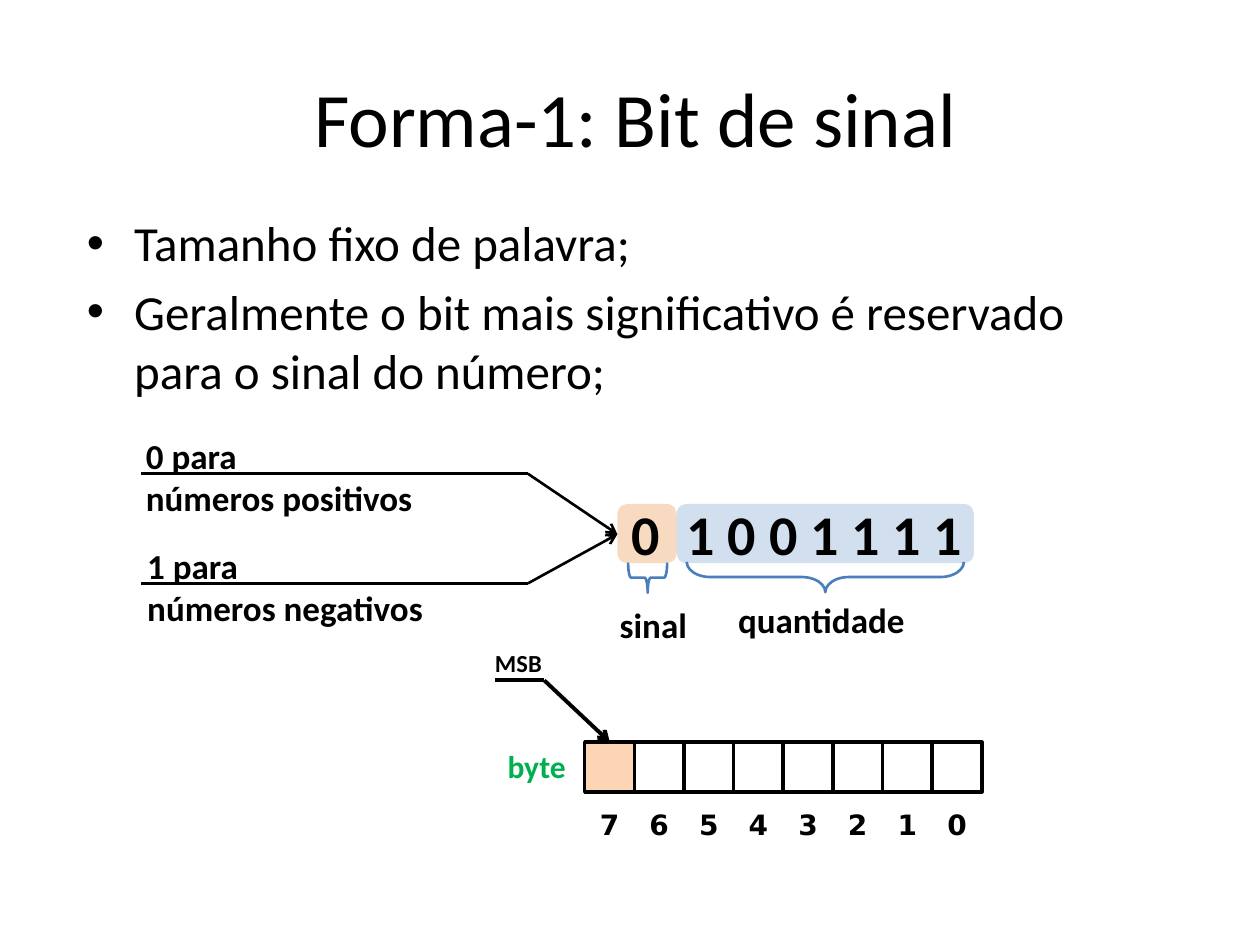
"""Build the slide on sign-bit representation of signed numbers."""
from lxml import etree
from pptx import Presentation
from pptx.dml.color import RGBColor
from pptx.enum.shapes import MSO_CONNECTOR, MSO_SHAPE
from pptx.enum.text import MSO_ANCHOR, PP_ALIGN
from pptx.oxml.ns import qn
from pptx.util import Inches, Pt

RECT, ROUNDED, BRACE = MSO_SHAPE.RECTANGLE, MSO_SHAPE.ROUNDED_RECTANGLE, MSO_SHAPE.RIGHT_BRACE
STRAIGHT = MSO_CONNECTOR.STRAIGHT
LEFT, CENTER, MIDDLE = PP_ALIGN.LEFT, PP_ALIGN.CENTER, MSO_ANCHOR.MIDDLE
COLORS = {"ink": "000000", "byte": "00B050", "msb": "FCD5B5",
          "sign": "E46C0A", "amount": "4F81BD", "brace": "4B7EBC"}


def color(name):
    return RGBColor.from_string(COLORS[name])


def write(tf, text, size, ink="ink", font="Calibri", bold=True, align=LEFT):
    tf.text = text
    for p in tf.paragraphs:
        p.alignment = align
        for r in p.runs:
            r.font.name, r.font.size, r.font.bold = font, Pt(size), bold
            r.font.color.rgb = color(ink)


prs = Presentation()
prs.slide_width, prs.slide_height = Inches(10), Inches(7.5)
s = prs.slides.add_slide(prs.slide_layouts[1])

title, body = s.placeholders
title.left, title.top, title.width, title.height = map(Inches, (0.2, 0.3, 9.69, 1.25))
write(title.text_frame, "Forma-1: Bit de sinal", 44, bold=False, align=CENTER)
body.left, body.top, body.width, body.height = map(Inches, (0.59, 1.64, 8.67, 2.94))
write(body.text_frame, "Tamanho fixo de palavra;\n"
      "Geralmente o bit mais significativo é reservado para o sinal do número;",
      28, bold=False)

cell_left, cell_top, cell = 4.64, 5.89, 0.394
for i in range(8):
    x = cell_left + i * cell
    sp = s.shapes.add_shape(RECT, Inches(x), Inches(cell_top), Inches(cell), Inches(cell))
    sp.shadow.inherit = False
    sp.line.color.rgb, sp.line.width = color("ink"), Pt(2)
    if i == 0:
        sp.fill.solid()
        sp.fill.fore_color.rgb = color("msb")
    else:
        sp.fill.background()
    tf = s.shapes.add_textbox(Inches(x), Inches(6.36), Inches(cell), Inches(0.37)).text_frame
    tf.margin_left = tf.margin_right = 0
    write(tf, str(7 - i), 16, font="DejaVu Sans", align=CENTER)

bit_fields = [("0", 4.9, 0.47, 0.09, "sign"),
              ("1 0 0 1 1 1 1", 5.37, 2.36, 0.06, "amount")]
for text, x, width, inset, fill in bit_fields:
    sp = s.shapes.add_shape(ROUNDED, Inches(x), Inches(4), Inches(width), Inches(0.47))
    sp.shadow.inherit = False
    sp.fill.solid()
    sp.fill.fore_color.rgb = color(fill)
    rgb = sp.fill._xPr.find(".//" + qn("a:srgbClr"))
    etree.SubElement(rgb, qn("a:alpha"), val="25000")
    sp.line.fill.background()
    tf = sp.text_frame
    tf.word_wrap, tf.vertical_anchor = False, MIDDLE
    tf.margin_left, tf.margin_right = Inches(inset), 0
    tf.margin_top = tf.margin_bottom = 0
    write(tf, text, 32)

for x, y, height, curve in [(5.02, 4.43, 0.31, 0.1), (6.43, 3.48, 2.2, 0.78)]:
    sp = s.shapes.add_shape(BRACE, Inches(x), Inches(y), Inches(0.24), Inches(height))
    sp.rotation = 90
    sp.adjustments[0] = curve
    sp.shadow.inherit = False
    sp.fill.background()
    sp.line.color.rgb, sp.line.width = color("brace"), Pt(1.5)

labels = [("byte", 3.93, 5.88, 0.67, 0.4, 18, "byte"),
          ("MSB", 3.83, 5.09, 0.58, 0.34, 14, "ink"),
          ("sinal", 4.82, 4.74, 0.76, 0.44, 20, "ink"),
          ("quantidade", 5.76, 4.7, 1.54, 0.44, 20, "ink"),
          ("0 para\vnúmeros positivos", 1.06, 3.4, 2.34, 0.77, 20, "ink"),
          ("1 para\vnúmeros negativos", 1.07, 4.27, 2.41, 0.77, 20, "ink")]
for text, x, y, width, height, size, ink in labels:
    tf = s.shapes.add_textbox(Inches(x), Inches(y), Inches(width), Inches(height)).text_frame
    tf.word_wrap = False
    write(tf, text, size, ink)

callouts = [(3.93, 4.32, 5.4, 4.84, 5.89, 2.25),
            (1.12, 4.19, 3.76, 4.9, 4.24, 1.5),
            (1.12, 4.19, 4.63, 4.9, 4.24, 1.5)]
for start, bend, y, tip_x, tip_y, weight in callouts:
    for end_x, end_y in [(start, y), (tip_x, tip_y)]:
        line = s.shapes.add_connector(STRAIGHT, Inches(bend), Inches(y),
                                      Inches(end_x), Inches(end_y))
        line.line.color.rgb, line.line.width = color("ink"), Pt(weight)
        etree.SubElement(line._element.spPr, qn("a:effectLst"))
    etree.SubElement(line.line._get_or_add_ln(), qn("a:tailEnd"), type="arrow")

prs.save("out.pptx")
